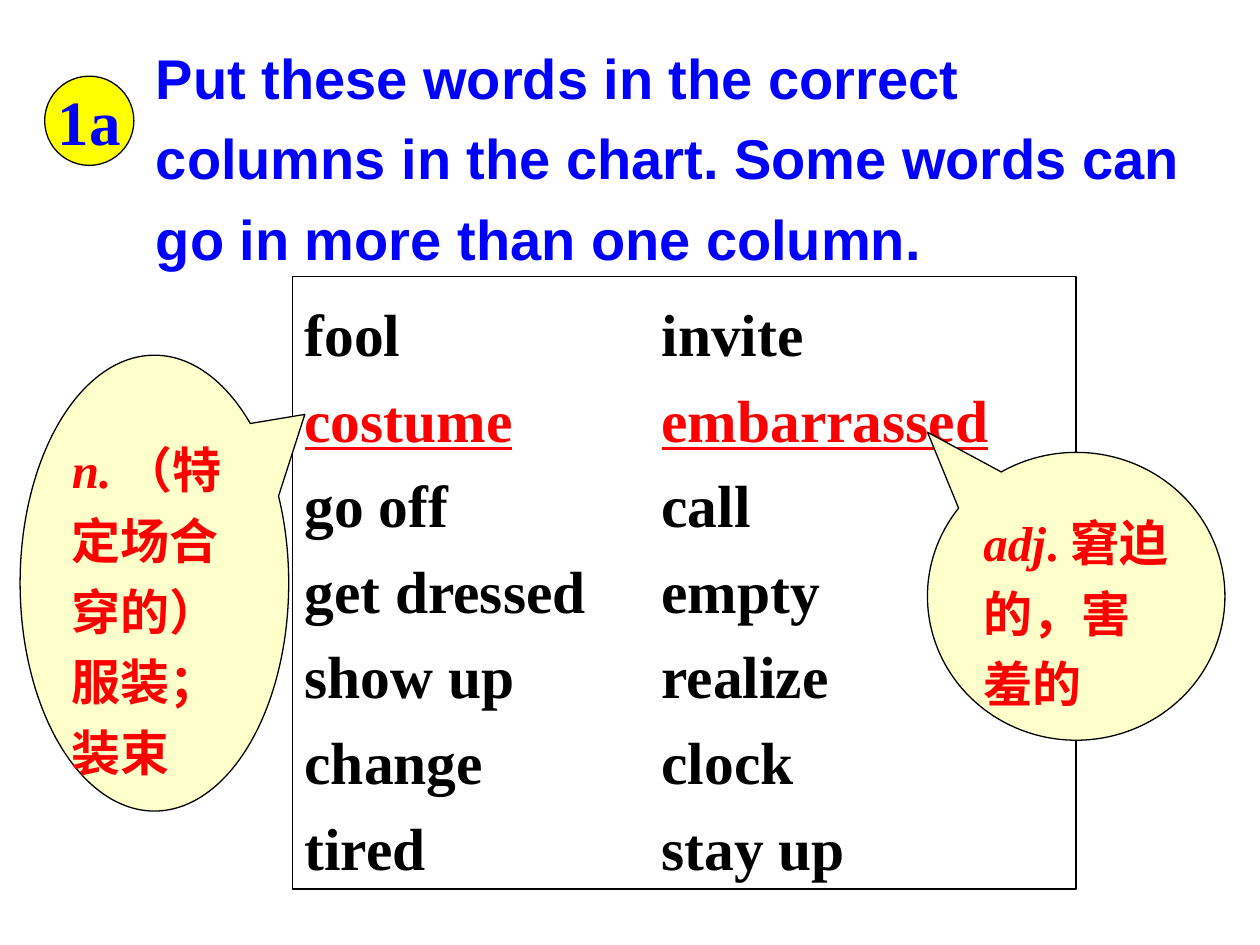
"""Build the 1a vocabulary slide: instruction, word list and two meaning callouts."""
from dataclasses import dataclass

from lxml import etree
from pptx import Presentation
from pptx import util as u
from pptx.dml.color import RGBColor
from pptx.enum import shapes, text
from pptx.oxml.ns import qn

BLUE = RGBColor(0x00, 0x00, 0xFF)
RED = RGBColor(0xFF, 0x00, 0x00)
BLACK = RGBColor(0x00, 0x00, 0x00)
YELLOW = RGBColor(0xFF, 0xFF, 0x00)
CREAM = RGBColor(0xFF, 0xFF, 0xCC)

SERIF = "Times New Roman"
SECOND_COLUMN = u.Pt(204)


@dataclass(frozen=True)
class Style:
    size: float
    color: RGBColor
    name: str = SERIF
    spacing: float = 1.2
    align: text.PP_ALIGN = text.PP_ALIGN.LEFT


@dataclass(frozen=True)
class Box:
    left: float
    top: float
    width: float
    height: float

    def lengths(self):
        return [u.Pt(n) for n in (self.left, self.top, self.width, self.height)]


@dataclass(frozen=True)
class Callout:
    box: Box
    tip: tuple[float, float]
    word_class: str
    meaning: str


@dataclass(frozen=True)
class WordPair:
    first: str
    second: str
    key: bool = False


INSTRUCTION = (
    "Put these words in the correct columns in the chart. "
    "Some words can go in more than one column."
)
WORD_PAIRS = [
    WordPair("fool", "invite"),
    WordPair("costume", "embarrassed", key=True),
    WordPair("go off", "call"),
    WordPair("get dressed", "empty"),
    WordPair("show up", "realize"),
    WordPair("change", "clock"),
    WordPair("tired", "stay up"),
]
CALLOUTS = [
    Callout(Box(11.5, 203, 153.5, 260.5), (0.56, -0.37), "n. ", "（特定场合穿的）服装；装束"),
    Callout(Box(530, 258.5, 170, 164.5), (-0.5, -0.57), "adj", ". 窘迫的，害羞的"),
]


def style_paragraph(paragraph, style: Style) -> None:
    paragraph.alignment = style.align
    paragraph.line_spacing = style.spacing
    font = paragraph.font
    font.name, font.size, font.bold = style.name, u.Pt(style.size), True
    font.color.rgb = style.color


def add_run(paragraph, words: str):
    run = paragraph.add_run()
    run.text = words
    return run


def add_tab_stop(paragraph, position: int) -> None:
    stops = etree.SubElement(paragraph._p.get_or_add_pPr(), qn("a:tabLst"))
    etree.SubElement(stops, qn("a:tab"), pos=str(position), algn="l")


def add_outlined(slide, kind: shapes.MSO_SHAPE, box: Box, fill: RGBColor | None = None):
    outlined = slide.shapes.add_shape(kind, *box.lengths())
    outlined.shadow.inherit = False
    if fill is None:
        outlined.fill.background()
    else:
        outlined.fill.solid()
        outlined.fill.fore_color.rgb = fill
    outlined.line.color.rgb = BLACK
    outlined.line.width = u.Pt(0.75)
    outlined.text_frame.vertical_anchor = text.MSO_ANCHOR.TOP
    return outlined


def add_instruction(slide) -> None:
    frame = slide.shapes.add_textbox(*Box(82, 13.5, 613, 142.5).lengths()).text_frame
    frame.word_wrap = True
    paragraph = frame.paragraphs[0]
    style_paragraph(paragraph, Style(32, BLUE, "Arial"))
    add_run(paragraph, INSTRUCTION)


def add_word_list(slide, pairs: list[WordPair]) -> None:
    frame = add_outlined(
        slide, shapes.MSO_SHAPE.RECTANGLE, Box(167, 158, 448, 350)
    ).text_frame
    for index, pair in enumerate(pairs):
        paragraph = frame.add_paragraph() if index else frame.paragraphs[0]
        paragraph.line_spacing = 1.2
        add_tab_stop(paragraph, SECOND_COLUMN)
        style_paragraph(paragraph, Style(34, RED if pair.key else BLACK))
        first, _, second = [add_run(paragraph, s) for s in (pair.first, "\t", pair.second)]
        if pair.key:
            first.font.underline = second.font.underline = True


def add_callout(slide, callout: Callout) -> None:
    bubble = add_outlined(slide, shapes.MSO_SHAPE.OVAL_CALLOUT, callout.box, CREAM)
    bubble.adjustments[0], bubble.adjustments[1] = callout.tip
    paragraph = bubble.text_frame.paragraphs[0]
    style_paragraph(paragraph, Style(28, RED))
    add_run(paragraph, callout.word_class).font.italic = True
    add_run(paragraph, callout.meaning)


def add_badge(slide) -> None:
    badge = add_outlined(slide, shapes.MSO_SHAPE.OVAL, Box(25.5, 43.5, 51, 51), YELLOW)
    frame = badge.text_frame
    frame.word_wrap = False
    frame.vertical_anchor = text.MSO_ANCHOR.MIDDLE
    paragraph = frame.paragraphs[0]
    style_paragraph(paragraph, Style(36, BLUE, spacing=1.0, align=text.PP_ALIGN.CENTER))
    add_run(paragraph, "1a")


def main() -> None:
    deck = Presentation()
    deck.slide_width, deck.slide_height = u.Pt(720), u.Pt(540)
    slide = deck.slides.add_slide(deck.slide_layouts[6])
    add_instruction(slide)
    add_word_list(slide, WORD_PAIRS)
    for callout in CALLOUTS:
        add_callout(slide, callout)
    add_badge(slide)
    deck.save("out.pptx")


if __name__ == "__main__":
    main()
